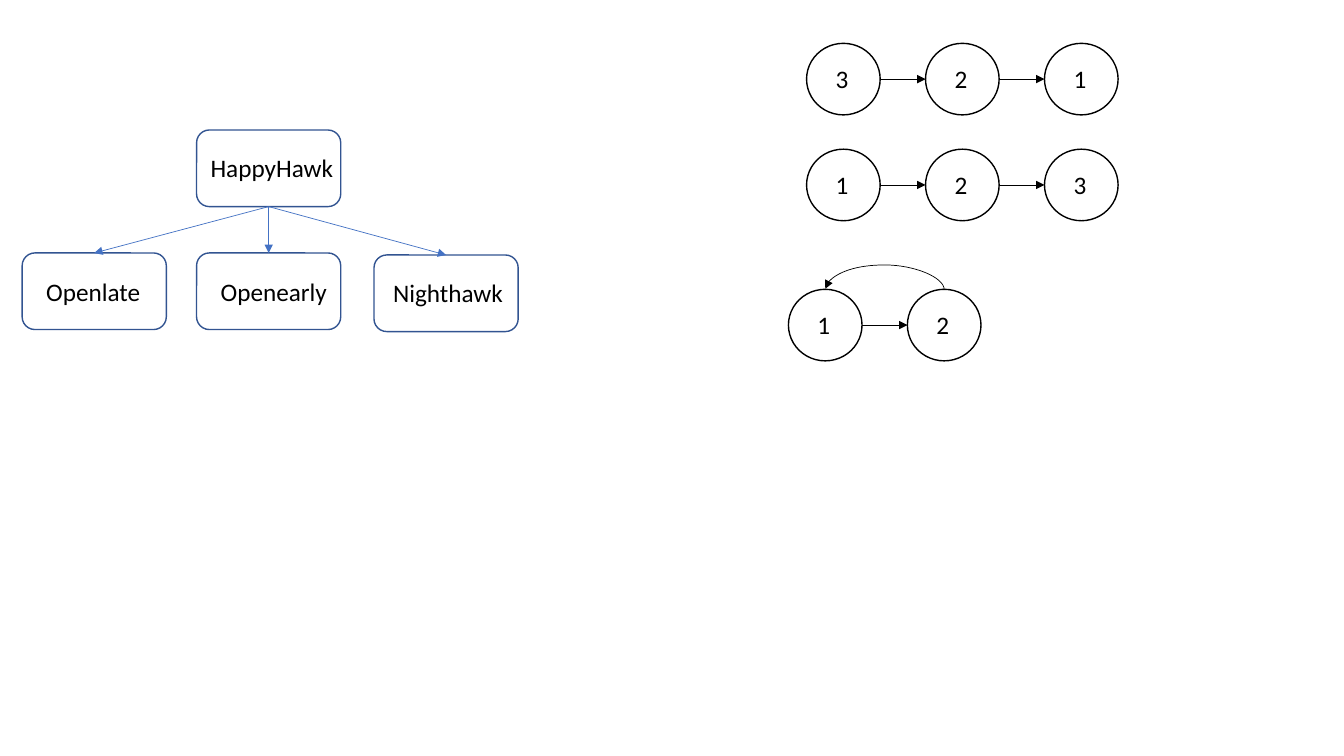
from lxml import etree
from pptx import Presentation
from pptx import util as u
from pptx.dml.color import RGBColor
from pptx.enum import shapes, text
from pptx.oxml.ns import qn

BOX_W, BOX_H = 1.43, 0.76
NODE_W, NODE_H, NODE_STEP = 0.73, 0.71, 1.18
BLUE, DARK_BLUE, BLACK = "4472C4", "325491", "000000"


def color(value):
    return RGBColor.from_string(value)


class Diagram:
    font, size = "Calibri", 18

    def __init__(self, page):
        self.page = page

    def outline(self, kind, left, top, width, height, line):
        """Add an unfilled shape."""
        shape = self.page.shapes.add_shape(
            kind, *map(u.Inches, (left, top, width, height)))
        shape.shadow.inherit = False
        shape.fill.background()
        shape.line.color.rgb = color(line)
        shape.line.width = u.Pt(1)

    def label(self, words, left, top, width):
        box = self.page.shapes.add_textbox(
            *map(u.Inches, (left, top, width, 0.4)))
        frame = box.text_frame
        frame.word_wrap = False
        frame.auto_size = text.MSO_AUTO_SIZE.SHAPE_TO_FIT_TEXT
        para = frame.paragraphs[0]
        para.text = words
        para.font.name = self.font
        para.font.size = u.Pt(self.size)
        para.font.color.rgb = color(BLACK)

    def arrow(self, start, end, line, kind=shapes.MSO_CONNECTOR.STRAIGHT):
        connector = self.page.shapes.add_connector(
            kind, *map(u.Inches, (*start, *end)))
        connector.line.color.rgb = color(line)
        connector.line.width = u.Pt(0.5)
        properties = connector._element.spPr
        etree.SubElement(properties.find(qn("a:ln")), qn("a:tailEnd"), type="triangle")
        etree.SubElement(properties, qn("a:effectLst"))
        return properties

    def back_arrow(self, center_x, center_y, span, rise):
        """Arch from right to left: a curved connector turned by 270 degrees."""
        depth = 0.01
        properties = self.arrow(
            (center_x - depth / 2, center_y + span / 2),
            (center_x + depth / 2, center_y - span / 2),
            BLACK, shapes.MSO_CONNECTOR.CURVE)
        properties.find(qn("a:xfrm")).set("rot", str(270 * 60000))
        geometry = properties.find(qn("a:prstGeom"))
        guides = geometry.find(qn("a:avLst"))
        if guides is None:
            guides = etree.SubElement(geometry, qn("a:avLst"))
        etree.SubElement(guides, qn("a:gd"), name="adj1",
                         fmla=f"val {round(rise / depth * 100000)}")

    def class_box(self, name, left, top, label_left, label_top, label_width):
        self.outline(shapes.MSO_SHAPE.ROUNDED_RECTANGLE,
                     left, top, BOX_W, BOX_H, DARK_BLUE)
        self.label(name, label_left, label_top, label_width)

    def linked_list(self, values, left, top):
        middle = top + NODE_H / 2
        for index, value in enumerate(values):
            x = left + index * NODE_STEP
            self.outline(shapes.MSO_SHAPE.OVAL, x, top, NODE_W, NODE_H, BLACK)
            self.label(value, x + 0.19, top + 0.15, 0.33)
            if index:
                self.arrow((x - NODE_STEP + NODE_W, middle), (x, middle), BLACK)


def main():
    deck = Presentation()
    deck.slide_width, deck.slide_height = u.Inches(13.33), u.Inches(7.5)
    diagram = Diagram(deck.slides.add_slide(deck.slide_layouts[6]))

    parent_left, parent_top = 1.95, 1.29
    diagram.class_box("HappyHawk", parent_left, parent_top, 1.99, 1.46, 1.43)
    parent_foot = (parent_left + BOX_W / 2, parent_top + BOX_H)
    children = [
        ("Openlate", 0.22, 2.51, 0.36, 2.69, 1.15),
        ("Openearly", 1.95, 2.51, 2.09, 2.69, 1.27),
        ("Nighthawk", 3.71, 2.53, 3.8, 2.7, 1.3),
    ]
    for child in children:
        diagram.class_box(*child)
        left, top = child[1:3]
        diagram.arrow(parent_foot, (left + BOX_W / 2, top), BLUE)

    diagram.linked_list("321", 8, 0.43)
    diagram.linked_list("123", 8, 1.48)
    cycle_left, cycle_top = 7.82, 2.87
    diagram.linked_list("12", cycle_left, cycle_top)
    diagram.back_arrow(cycle_left + (NODE_STEP + NODE_W) / 2, cycle_top,
                       NODE_STEP, 0.25)

    deck.save("out.pptx")


if __name__ == "__main__":
    main()
